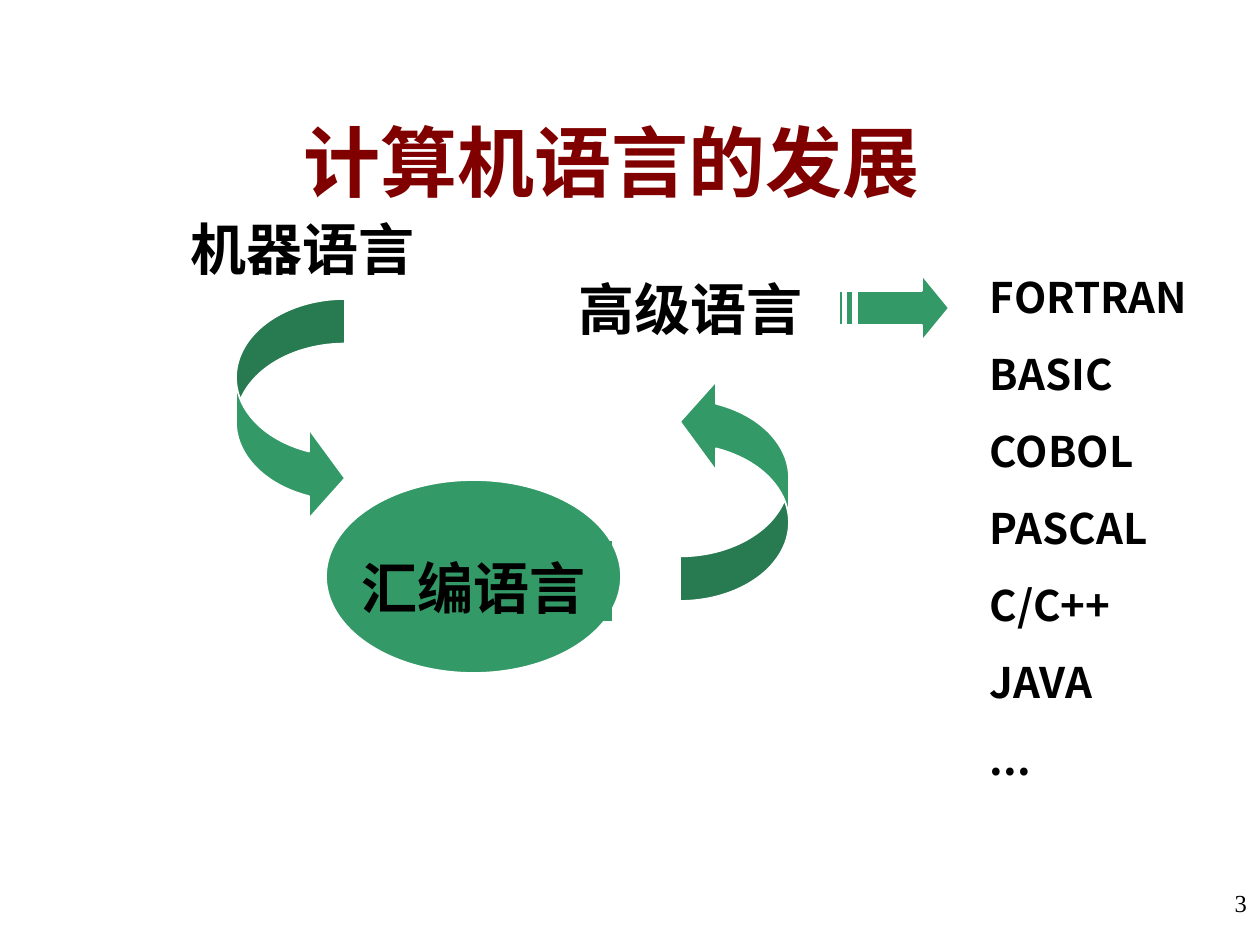
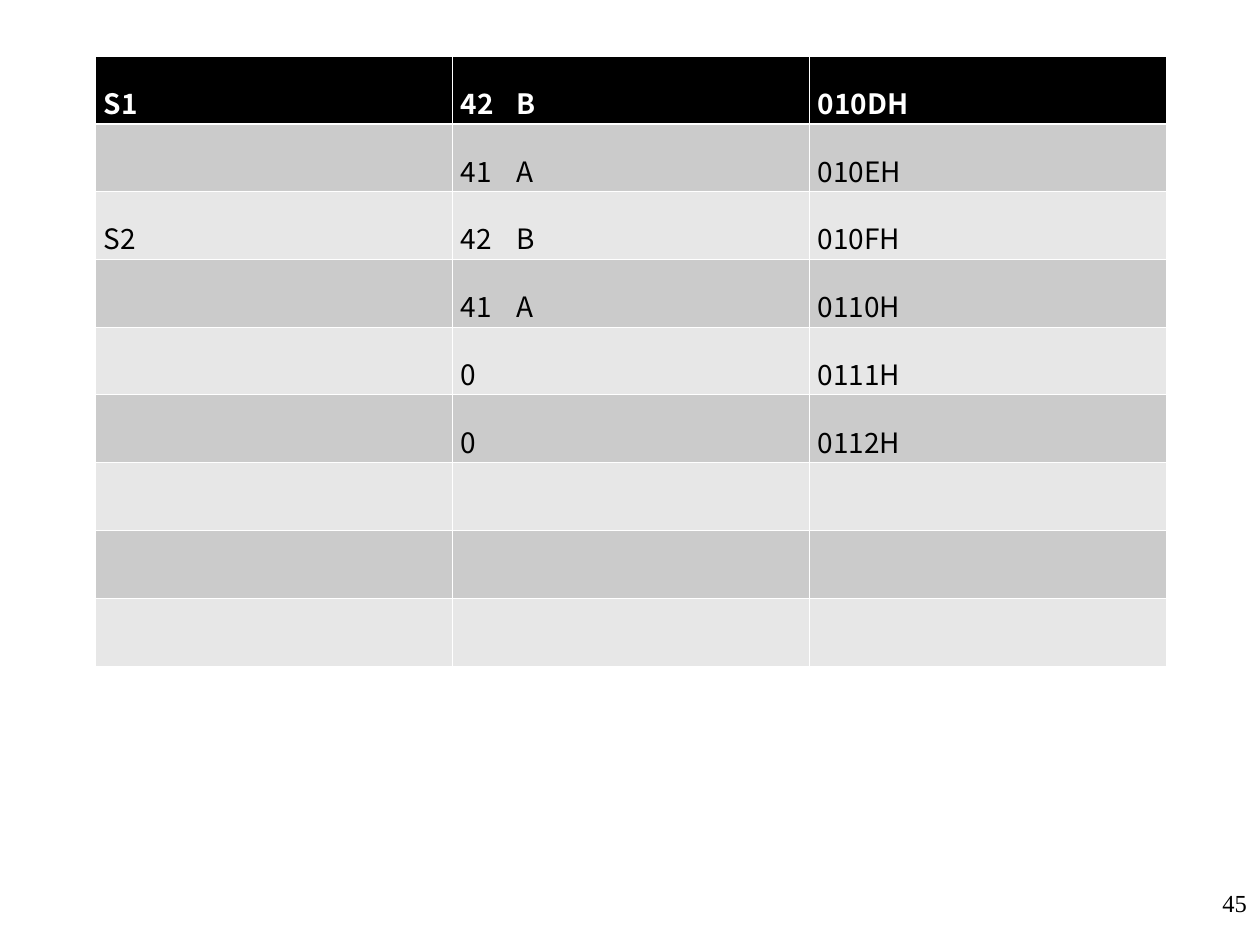
from lxml.etree import SubElement
from pptx import Presentation
from pptx.dml.color import RGBColor
from pptx.enum.shapes import MSO_SHAPE
from pptx.enum.text import MSO_ANCHOR, PP_ALIGN
from pptx.oxml.ns import qn
from pptx.util import Emu, Pt

HUE = {"ink": "000000", "paper": "FFFFFF", "title": "800000", "green": "339966",
       "dark": "CBCBCB", "light": "E7E7E7"}
SANS, SERIF = "Noto Sans CJK SC", "Times New Roman"
SCALE = 914400 / 126
WIDE, HIGH = 1260, 945

TITLE = "计算机语言的发展"
STAGES = {"机器语言": (178, 202), "高级语言": (566, 262)}
MIDDLE = "汇编语言"
NAMES = ["FORTRAN", "BASIC", "COBOL", "PASCAL", "C/C++", "JAVA", "..."]
CURVES = [(236, 299, 0), (680, 377, 180)]
STRIPES = [
    [(922, 275), (922, 291), (857, 291), (857, 325), (922, 325), (922, 341), (949, 308)],
    [(846, 291), (846, 325), (853, 325), (853, 291)],
    [(839, 291), (839, 325), (843, 325), (843, 291)],
]
CELLS = [
    ("S1", "42\tB", "010DH"),
    ("", "41\tA", "010EH"),
    ("S2", "42\tB", "010FH"),
    ("", "41\tA", "0110H"),
    ("", "0", "0111H"),
    ("", "0", "0112H"),
    ("", "", ""),
    ("", "", ""),
    ("", "", ""),
]


def px(num):
    return Emu(round(num * SCALE))


def rgb(name):
    return RGBColor.from_string(HUE[name])


def write(frame, text, size=32, font=SANS, hue="ink", bold=True, align=PP_ALIGN.LEFT,
          space=None, gap=0, tab=0):
    frame.word_wrap = True
    for num, line in enumerate(text.split("\n")):
        para = frame.add_paragraph() if num else frame.paragraphs[0]
        para.alignment = align
        if space:
            para.line_spacing = space
        if num and gap:
            para.space_before = Pt(gap)
        if tab and "\t" in line:
            stops = SubElement(para._p.get_or_add_pPr(), qn("a:tabLst"))
            SubElement(stops, qn("a:tab"), pos=str(px(tab)), algn="l")
        run = para.add_run()
        run.text = line
        run.font.size, run.font.name, run.font.bold = Pt(size), font, bold
        run.font.color.rgb = rgb(hue)
        east = SubElement(run._r.get_or_add_rPr(), qn("a:ea"))
        east.set("typeface", SANS)


def inset(frame, top=6):
    frame.margin_left = frame.margin_right = px(13)
    frame.margin_top, frame.margin_bottom = px(top), px(6)
    frame.vertical_anchor = MSO_ANCHOR.TOP


def label(slide, text, box, top=6, **form):
    frame = slide.shapes.add_textbox(*map(px, box)).text_frame
    inset(frame, top)
    write(frame, text, **form)


def paint(shape, edge=True):
    shape.shadow.inherit = False
    shape.fill.solid()
    shape.fill.fore_color.rgb = rgb("green")
    if edge:
        shape.line.color.rgb, shape.line.width = rgb("paper"), Pt(1)
    else:
        shape.line.fill.background()
    return shape


def add(slide, kind, box, edge=True):
    return paint(slide.shapes.add_shape(kind, *map(px, box)), edge)


def page(deck, layout, num):
    slide = deck.slides.add_slide(deck.slide_layouts[layout])
    label(slide, num, (998, 882, 262, 63), size=14, font=SERIF, bold=False,
          align=PP_ALIGN.RIGHT)
    return slide


def rule(cell, side, width):
    line = SubElement(cell._tc.get_or_add_tcPr(), qn(f"a:ln{side}"), w=str(Pt(width)))
    fill = SubElement(line, qn("a:solidFill"))
    SubElement(fill, qn("a:srgbClr"), val=HUE["paper"])


def growth(deck):
    slide = page(deck, 5, "3")
    title = slide.shapes.title
    title.left, title.top, title.width, title.height = map(px, (76, 82, 1071, 158))
    title.text_frame.vertical_anchor = MSO_ANCHOR.MIDDLE
    write(title.text_frame, TITLE, size=44, font=SERIF, hue="title", align=PP_ALIGN.CENTER)
    for name, spot in STAGES.items():
        label(slide, name, (*spot, 263, 81), top=11, space=Pt(39))
    label(slide, "\n".join(NAMES), (977, 262, 252, 600), top=9, size=24,
          space=Pt(29), gap=15)
    add(slide, MSO_SHAPE.OVAL, (326, 480, 295, 193))
    plate = add(slide, MSO_SHAPE.RECTANGLE, (349, 541, 263, 80), edge=False)
    inset(plate.text_frame, 11)
    write(plate.text_frame, MIDDLE, space=Pt(39))
    for left, top, turn in CURVES:
        arrow = add(slide, MSO_SHAPE.CURVED_RIGHT_ARROW, (left, top, 109, 224))
        for num, part in enumerate((0.41, 0.82, 0.33)):
            arrow.adjustments[num] = part
        arrow.rotation = turn
    first, *rest = STRIPES
    path = slide.shapes.build_freeform(*first[0], scale=SCALE)
    path.add_line_segments(first[1:])
    for part in rest:
        path.move_to(*part[0])
        path.add_line_segments(part[1:])
    paint(path.convert_to_shape())


def memory(deck):
    slide = page(deck, 6, "45")
    rows, cols = len(CELLS), len(CELLS[0])
    grid = slide.shapes.add_table(rows, cols, *map(px, (95, 56, 1071, 610))).table
    for row in grid.rows:
        row.height = px(610 / rows)
    for col in grid.columns:
        col.width = px(1071 / cols)
    for r, line in enumerate(CELLS):
        back = "ink" if r == 0 else "dark" if r % 2 else "light"
        for c, text in enumerate(line):
            cell = grid.cell(r, c)
            cell.margin_left = cell.margin_right = px(9)
            cell.margin_top, cell.margin_bottom = px(6), 0
            for side in "LRTB":
                thick = (r, side) in ((0, "B"), (1, "T"))
                rule(cell, side, 1.47 if thick else 0.45)
            cell.fill.solid()
            cell.fill.fore_color.rgb = rgb(back)
            if text:
                write(cell.text_frame, text, size=16, bold=r == 0, space=1.5, tab=56,
                      hue="ink" if r else "paper",
                      align=PP_ALIGN.JUSTIFY if c == 1 else PP_ALIGN.LEFT)


def main():
    """Build the two slides on programming languages and memory."""
    deck = Presentation()
    deck.slide_width, deck.slide_height = px(WIDE), px(HIGH)
    growth(deck)
    memory(deck)
    deck.save("out.pptx")


if __name__ == "__main__":
    main()
